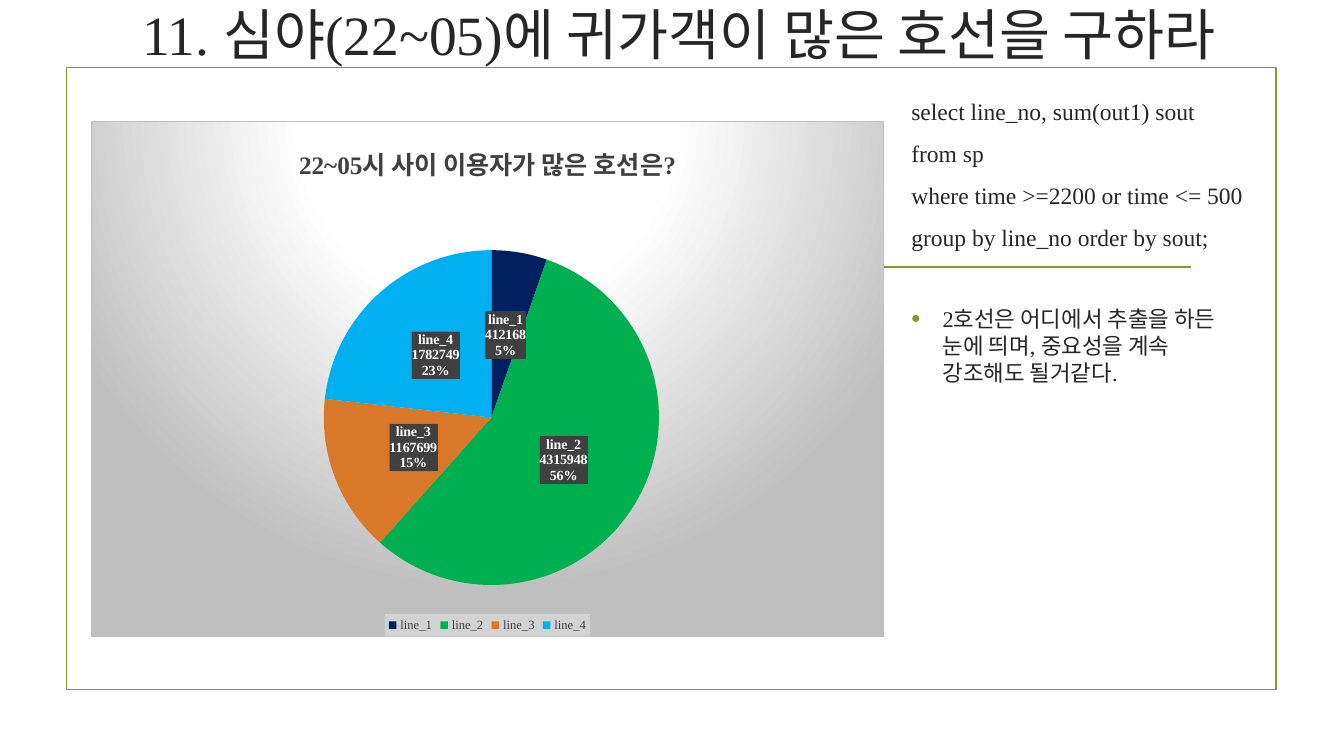
from lxml import etree
from pptx import Presentation
from pptx.chart.data import CategoryChartData
from pptx.dml.color import RGBColor
from pptx.enum import chart as charts, shapes, text
from pptx.oxml import parse_xml
from pptx.oxml.ns import nsdecls, qn
from pptx.util import Inches, Pt

FONT = "Times New Roman"
OLIVE = RGBColor(0x83, 0x99, 0x2A)
INK = RGBColor(0x26, 0x26, 0x26)
GREY = RGBColor(0x40, 0x40, 0x40)
WHITE = RGBColor(0xFF, 0xFF, 0xFF)

LINES = [
    ("line_1", 412168, RGBColor(0x00, 0x20, 0x60)),
    ("line_2", 4315948, RGBColor(0x00, 0xB0, 0x50)),
    ("line_3", 1167699, RGBColor(0xD9, 0x78, 0x28)),
    ("line_4", 1782749, RGBColor(0x00, 0xB0, 0xF0)),
]
QUERY = [
    "select line_no, sum(out1) sout",
    "from sp",
    "where time >=2200 or time <= 500",
    "group by line_no order by sout;",
]
COMMENT = "2호선은 어디에서 추출을 하든 눈에 띄며, 중요성을 계속 강조해도 될거같다."

BACKDROP = (
    '<a:gradFill><a:gsLst><a:gs pos="0"><a:srgbClr val="FFFFFF"/></a:gs>'
    '<a:gs pos="39000"><a:srgbClr val="FFFFFF"/></a:gs>'
    '<a:gs pos="100000"><a:srgbClr val="BFBFBF"/></a:gs></a:gsLst>'
    '<a:path path="circle"><a:fillToRect l="50000" t="-80000" r="50000" b="180000"/></a:path>'
    '</a:gradFill><a:ln w="9525"><a:solidFill><a:srgbClr val="BFBFBF"/></a:solidFill></a:ln>'
)
LABEL_FILL = (
    '<a:pattFill prst="dkVert"><a:fgClr><a:srgbClr val="404040"/></a:fgClr>'
    '<a:bgClr><a:srgbClr val="595959"/></a:bgClr></a:pattFill>'
)
LEGEND_FILL = '<a:solidFill><a:srgbClr val="D2D2D2"/></a:solidFill>'


def set_font(font, size, color, bold=False):
    font.name = FONT
    font.size = Pt(size)
    font.color.rgb = color
    font.bold = bold


def paint(element, fill):
    properties = parse_xml(f'<c:spPr {nsdecls("c", "a")}>{fill}</c:spPr>')
    element.find(qn("c:txPr")).addprevious(properties)


def add_frame(slide, left, top, width, height):
    frame = slide.shapes.add_shape(
        shapes.MSO_SHAPE.RECTANGLE, Inches(left), Inches(top), Inches(width), Inches(height))
    frame.shadow.inherit = False
    frame.fill.background()
    frame.line.color.rgb = OLIVE
    frame.line.width = Pt(1.25)


def add_rule(slide, left, top, width):
    rule = slide.shapes.add_connector(
        shapes.MSO_CONNECTOR.STRAIGHT,
        Inches(left), Inches(top), Inches(left + width), Inches(top))
    rule.line.color.rgb = OLIVE
    rule.line.width = Pt(1.25)
    etree.SubElement(rule._element.spPr, qn("a:effectLst"))


def place_title(slide, left, top, width, height):
    title = slide.shapes.title
    title.left, title.top = Inches(left), Inches(top)
    title.width, title.height = Inches(width), Inches(height)
    frame = title.text_frame
    frame.text = "11. 심야(22~05)에 귀가객이 많은 호선을 구하라"
    frame.auto_size = text.MSO_AUTO_SIZE.NONE
    frame.vertical_anchor = text.MSO_ANCHOR.MIDDLE
    frame.paragraphs[0].alignment = text.PP_ALIGN.CENTER
    set_font(frame.paragraphs[0].runs[0].font, 39.6, INK)


def add_text(slide, left, top, width, height, lines, size):
    box = slide.shapes.add_textbox(Inches(left), Inches(top), Inches(width), Inches(height))
    frame = box.text_frame
    frame.word_wrap = True
    frame.text = "\n".join(lines)
    for paragraph in frame.paragraphs:
        paragraph.space_before = Pt(4)
        paragraph.space_after = Pt(6)
        set_font(paragraph.runs[0].font, size, INK)
    return frame


def add_bullet(paragraph):
    properties = paragraph._p.get_or_add_pPr()
    properties.set("marL", str(Inches(0.31)))
    properties.set("indent", str(-Inches(0.31)))
    color = etree.SubElement(properties, qn("a:buClr"))
    etree.SubElement(color, qn("a:srgbClr"), val=str(OLIVE))
    etree.SubElement(properties, qn("a:buSzPct"), val="115000")
    etree.SubElement(properties, qn("a:buFont"), typeface="Arial")
    etree.SubElement(properties, qn("a:buChar"), char="•")


def place_plot(chart, x, y, w, h):
    area = chart._chartSpace.chart.plotArea
    for layout in area.findall(qn("c:layout")):
        area.remove(layout)
    layout = etree.Element(qn("c:layout"))
    manual = etree.SubElement(layout, qn("c:manualLayout"))
    settings = dict(layoutTarget="inner", xMode="edge", yMode="edge", x=x, y=y, w=w, h=h)
    for name, value in settings.items():
        etree.SubElement(manual, qn(f"c:{name}"), val=str(value))
    area.insert(0, layout)


def label_slices(series):
    labels = series.data_labels
    labels.show_value = True
    labels.show_percentage = True
    labels.show_category_name = True
    labels.position = charts.XL_LABEL_POSITION.CENTER
    set_font(labels.font, 10, WHITE, bold=True)
    element = labels._element
    paint(element, LABEL_FILL)
    separator = etree.Element(qn("c:separator"))
    separator.text = "\n"
    element.find(qn("c:showBubbleSize")).addnext(separator)


def add_pie(slide, left, top, width, height):
    data = CategoryChartData()
    data.categories = [name for name, _, _ in LINES]
    data.add_series("Series 1", [riders for _, riders, _ in LINES])
    chart = slide.shapes.add_chart(
        charts.XL_CHART_TYPE.PIE,
        Inches(left), Inches(top), Inches(width), Inches(height), data).chart
    chart.font.name = FONT
    chart.font.size = Pt(10)
    paint(chart._chartSpace, BACKDROP)

    chart.has_title = True
    title = chart.chart_title.text_frame
    title.text = "22~05시 사이 이용자가 많은 호선은?"
    set_font(title.paragraphs[0].runs[0].font, 18, GREY, bold=True)

    chart.has_legend = True
    chart.legend.position = charts.XL_LEGEND_POSITION.BOTTOM
    chart.legend.include_in_layout = False
    set_font(chart.legend.font, 9, GREY)
    paint(chart.legend._element, LEGEND_FILL)

    plot = chart.plots[0]
    plot.vary_by_categories = True
    series = plot.series[0]
    for index, (_, _, color) in enumerate(LINES):
        fill = series.points[index].format.fill
        fill.solid()
        fill.fore_color.rgb = color
    label_slices(series)
    place_plot(chart, 0.29, 0.25, 0.43, 0.65)


def main():
    presentation = Presentation()
    presentation.slide_width = Inches(13.33)
    presentation.slide_height = Inches(7.5)
    slide = presentation.slides.add_slide(presentation.slide_layouts[5])
    add_frame(slide, 0.66, 0.67, 12, 6.17)
    add_rule(slide, 1.53, 2.65, 10.28)
    place_title(slide, 0.9, 0.06, 11.67, 0.55)
    add_text(slide, 8.94, 0.91, 3.62, 1.69, QUERY, 16.8)
    comment = add_text(slide, 8.94, 2.98, 3.62, 3.34, [COMMENT], 16)
    add_bullet(comment.paragraphs[0])
    add_pie(slide, 0.9, 1.2, 7.87, 5.12)
    presentation.save("out.pptx")


if __name__ == "__main__":
    main()
